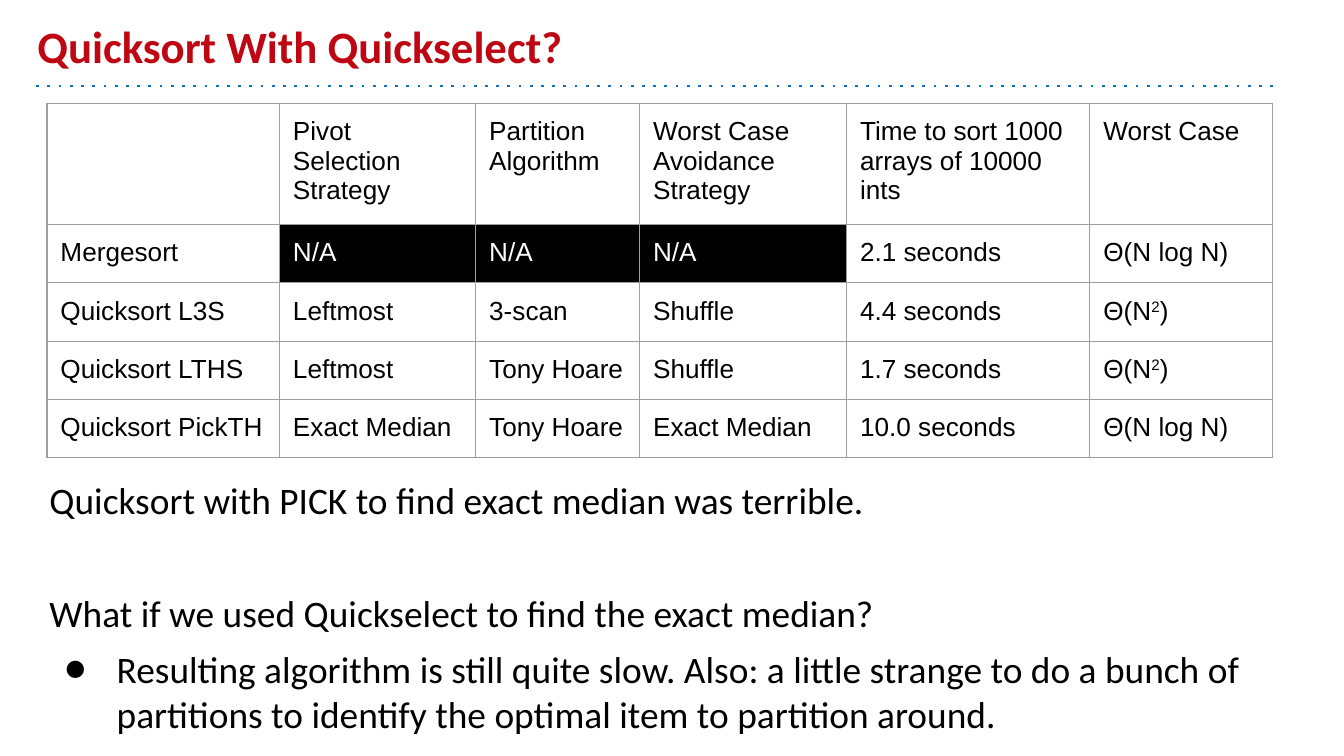
from lxml import etree
from pptx import Presentation
from pptx.dml.color import RGBColor
from pptx.enum.shapes import MSO_CONNECTOR
from pptx.enum.text import MSO_ANCHOR
from pptx.oxml.ns import qn
from pptx.util import Inches, Pt

STRAIGHT = MSO_CONNECTOR.STRAIGHT
TOP, BOTTOM = MSO_ANCHOR.TOP, MSO_ANCHOR.BOTTOM
RED = RGBColor(0xBE, 0x07, 0x12)
BLUE = RGBColor(0x10, 0x72, 0xBD)
GRAY = RGBColor(0x9E, 0x9E, 0x9E)
BLACK = RGBColor(0, 0, 0)
WHITE = RGBColor(0xFF, 0xFF, 0xFF)

INSET = Inches(0.1)
MARGINS = {"margin_left": INSET, "margin_right": INSET,
           "margin_top": INSET, "margin_bottom": INSET}
TITLE_FONT = {"name": "Calibri", "size": Pt(24), "bold": True}
BODY_FONT = {"name": "Calibri", "size": Pt(20)}
TABLE_FONT = {"name": "Arial", "size": Pt(14)}

COLUMN_WIDTHS = [1.73, 1.46, 1.22, 1.54, 1.81, 1.36]
ROW_HEIGHTS = [0.42, 0.43, 0.42, 0.42, 0.42]
COMPARISON = [
    ["", "Pivot Selection Strategy", "Partition\nAlgorithm",
     "Worst Case Avoidance Strategy",
     "Time to sort 1000 arrays of 10000 ints", "Worst Case"],
    ["Mergesort", "N/A", "N/A", "N/A", "2.1 seconds", "Θ(N log N)"],
    ["Quicksort L3S", "Leftmost", "3-scan", "Shuffle", "4.4 seconds",
     "Θ(N^2^)"],
    ["Quicksort LTHS", "Leftmost", "Tony Hoare", "Shuffle", "1.7 seconds",
     "Θ(N^2^)"],
    ["Quicksort PickTH", "Exact Median", "Tony Hoare", "Exact Median",
     "10.0 seconds", "Θ(N log N)"],
]
REMARKS = [
    ("Quicksort with PICK to find exact median was terrible.", 6, False),
    ("What if we used Quickselect to find the exact median?", 36.4, False),
    ("Resulting algorithm is still quite slow. Also: a little strange to do "
     "a bunch of partitions to identify the optimal item to partition "
     "around.", 6, True),
]


def apply_format(target, values):
    """Set each attribute of target from a dict."""
    for attribute, value in values.items():
        setattr(target, attribute, value)


def write_text(paragraph, text, font, color):
    """Write runs into a paragraph, raising the parts between carets."""
    for position, part in enumerate(text.split("^")):
        run = paragraph.add_run()
        run.text = part
        apply_format(run.font, font)
        run.font.color.rgb = color
        if position % 2:
            run.font._element.set("baseline", "30000")


def add_text_frame(slide, left, top, width, height, anchor):
    """Add a wrapping text box and return its frame."""
    frame = slide.shapes.add_textbox(
        Inches(left), Inches(top), Inches(width), Inches(height)).text_frame
    apply_format(frame, {**MARGINS, "word_wrap": True,
                         "vertical_anchor": anchor})
    return frame


def add_dotted_rule(slide, left, right, y):
    """Add the dotted line under the title."""
    rule = slide.shapes.add_connector(
        STRAIGHT, Inches(left), Inches(y), Inches(right), Inches(y))
    rule.line.color.rgb = BLUE
    rule.line.width = Pt(1.5)
    properties = rule._element.spPr
    dash = etree.SubElement(properties.find(qn("a:ln")), qn("a:prstDash"))
    dash.set("val", "dot")
    etree.SubElement(properties, qn("a:effectLst"))


def set_bullet(paragraph):
    """Give a paragraph a hanging black bullet."""
    properties = paragraph._p.get_or_add_pPr()
    properties.set("marL", str(Inches(0.5)))
    properties.set("indent", str(Inches(-0.39)))
    bullet_color = etree.SubElement(properties, qn("a:buClr"))
    etree.SubElement(bullet_color, qn("a:srgbClr")).set("val", str(BLACK))
    etree.SubElement(properties, qn("a:buFont")).set("typeface", "Calibri")
    etree.SubElement(properties, qn("a:buChar")).set("char", "●")


def add_remarks(slide):
    """Add the remarks below the table."""
    frame = add_text_frame(slide, 0.27, 3.45, 9.23, 1.7, TOP)
    for index, (text, space, bulleted) in enumerate(REMARKS):
        paragraph = frame.add_paragraph() if index else frame.paragraphs[0]
        paragraph.space_before = Pt(space)
        write_text(paragraph, text, BODY_FONT, BLACK)
        if bulleted:
            set_bullet(paragraph)


def set_borders(cell):
    """Draw a thin gray line on all sides of a cell."""
    properties = cell._tc.get_or_add_tcPr()
    for side in ("lnL", "lnR", "lnT", "lnB"):
        border = etree.SubElement(properties, qn(f"a:{side}"))
        border.set("w", str(Pt(0.75)))
        fill = etree.SubElement(border, qn("a:solidFill"))
        etree.SubElement(fill, qn("a:srgbClr")).set("val", str(GRAY))


def fill_cell(cell, text):
    """Format a table cell and write its lines."""
    apply_format(cell, MARGINS)
    set_borders(cell)
    not_applicable = text == "N/A"
    if not_applicable:
        cell.fill.solid()
        cell.fill.fore_color.rgb = BLACK
    else:
        cell.fill.background()
    frame = cell.text_frame
    for index, line in enumerate(text.splitlines()):
        paragraph = frame.add_paragraph() if index else frame.paragraphs[0]
        write_text(paragraph, line, TABLE_FONT,
                   WHITE if not_applicable else BLACK)


def add_comparison(slide):
    """Add the table that compares the sorting algorithms."""
    holder = slide.shapes.add_table(
        len(ROW_HEIGHTS), len(COLUMN_WIDTHS), Inches(0.35), Inches(0.77),
        Inches(sum(COLUMN_WIDTHS)), Inches(sum(ROW_HEIGHTS)))
    table = holder.table
    apply_format(table, {"first_row": False, "horz_banding": False})
    for column, width in zip(table.columns, COLUMN_WIDTHS):
        column.width = Inches(width)
    for row, height, texts in zip(table.rows, ROW_HEIGHTS, COMPARISON):
        row.height = Inches(height)
        for cell, text in zip(row.cells, texts):
            fill_cell(cell, text)
    holder.height = Inches(2.63)


def main():
    """Build the slide and save it."""
    deck = Presentation()
    apply_format(deck, {"slide_width": Inches(10),
                        "slide_height": Inches(10) * 9 // 16})
    slide = deck.slides.add_slide(deck.slide_layouts[6])
    add_dotted_rule(slide, 0.27, 9.5, 0.64)
    title = add_text_frame(slide, 0.18, 0.1, 9, 0.54, BOTTOM)
    write_text(title.paragraphs[0], "Quicksort With Quickselect?",
               TITLE_FONT, RED)
    add_remarks(slide)
    add_comparison(slide)
    deck.save("out.pptx")


if __name__ == "__main__":
    main()
